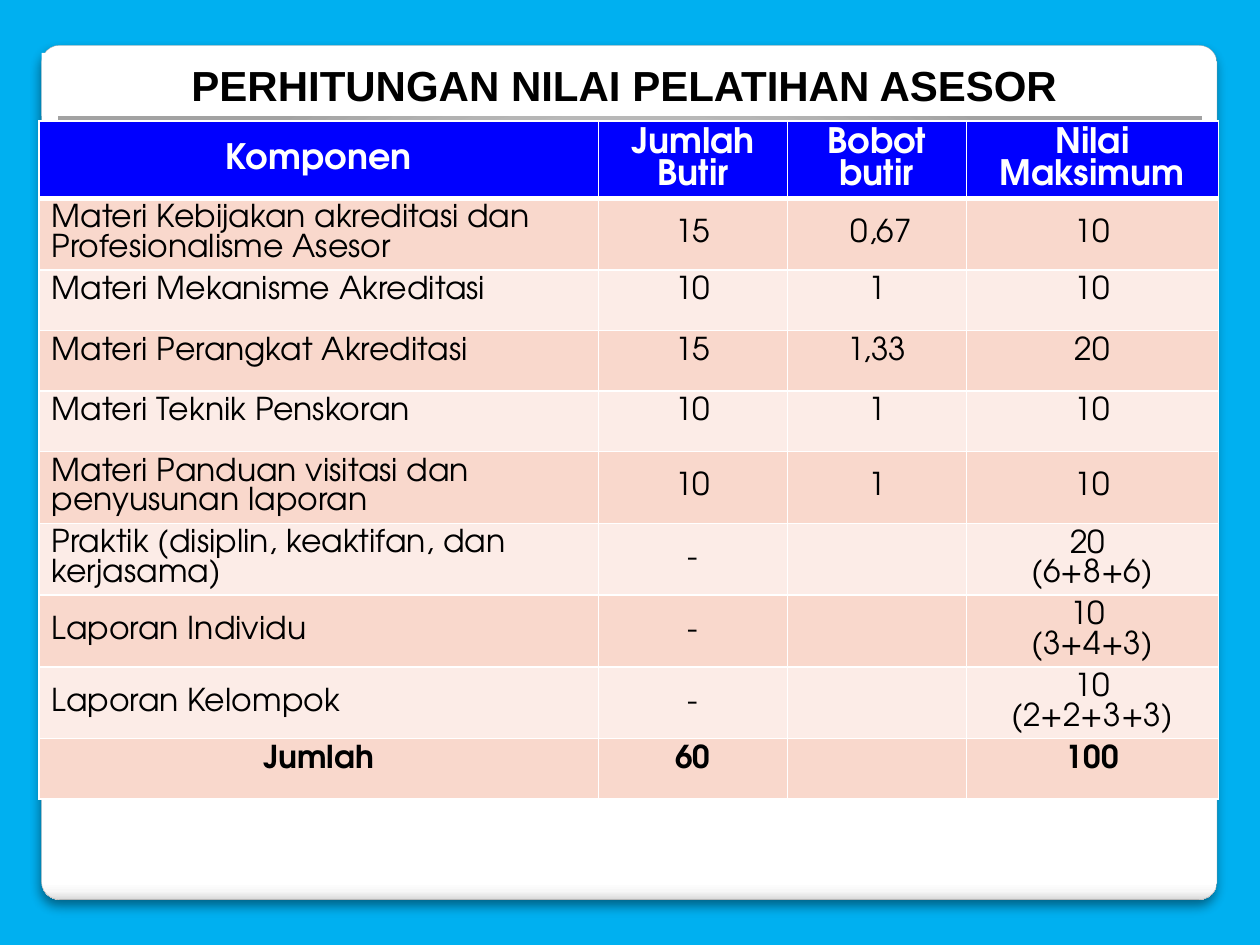
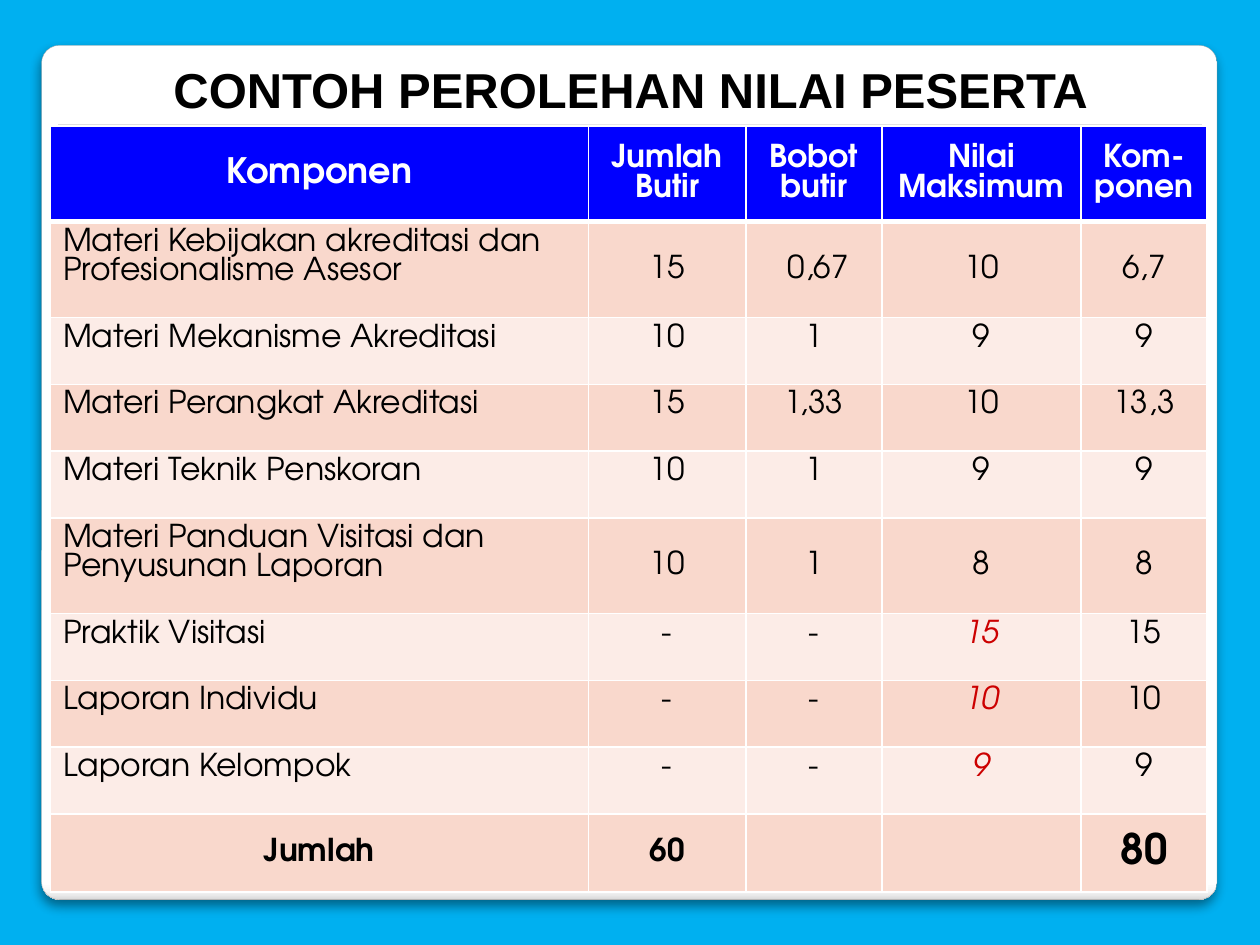
from dataclasses import dataclass

from pptx import Presentation
from pptx.dml.color import RGBColor
from pptx.enum.shapes import MSO_SHAPE
from pptx.enum.text import MSO_ANCHOR, MSO_AUTO_SIZE, PP_ALIGN
from pptx.oxml import parse_xml
from pptx.util import Inches, Pt

ROUNDED = MSO_SHAPE.ROUNDED_RECTANGLE
TOP, MIDDLE = MSO_ANCHOR.TOP, MSO_ANCHOR.MIDDLE
LEFT, CENTER = PP_ALIGN.LEFT, PP_ALIGN.CENTER
FIXED = MSO_AUTO_SIZE.NONE

SKY = RGBColor(0x00, 0xB0, 0xF0)
WHITE = RGBColor(0xFF, 0xFF, 0xFF)
BLACK = RGBColor(0x00, 0x00, 0x00)
RED = RGBColor(0xCC, 0x00, 0x00)
HEADER_BLUE = RGBColor(0x00, 0x00, 0xFF)
BANDS = (RGBColor(0xF9, 0xD8, 0xCC), RGBColor(0xFC, 0xEC, 0xE7))
SNOW = RGBColor(0xF7, 0xF7, 0xF7)
SILVER = RGBColor(0xDA, 0xDA, 0xDA)
PEARL = RGBColor(0xE1, 0xE1, 0xE1)
STEEL = RGBColor(0xA2, 0xA2, 0xA2)
EDGE = RGBColor(0xA4, 0xA4, 0xA4)

TITLE_FONT = "Arial"
TABLE_FONT = "TeX Gyre Adventor"
NS = 'xmlns:a="http://schemas.openxmlformats.org/drawingml/2006/main"'


@dataclass(frozen=True)
class Panel:
    box: tuple
    stops: tuple
    direction: str  # gradient direction as XML
    raised: bool    # outlined, with a shadow


@dataclass(frozen=True)
class Row:
    cells: tuple
    label_anchor: MSO_ANCHOR = TOP
    value_anchor: MSO_ANCHOR = TOP
    total: bool = False
    practice: bool = False  # score shown in red italics


@dataclass(frozen=True)
class ScoreSlide:
    title: str
    title_box: tuple
    title_size: int
    table_at: tuple
    widths: tuple
    heights: tuple
    header: tuple
    header_size: int
    rows: tuple
    total_size: int


PANELS = (
    Panel((0.33, 0.36, 9.33, 6.78),
          ((0, WHITE), (98, WHITE), (99, SNOW), (100, SILVER)),
          '<a:lin ang="5400000" scaled="0"/>', True),
    Panel((0.46, 0.47, 9.08, 4.75),
          ((0, WHITE), (55, PEARL), (100, STEEL)),
          '<a:path path="circle"><a:fillToRect l="50000" t="175000" '
          'r="50000" b="-75000"/></a:path>', False),
)

SLIDES = (
    ScoreSlide(
        "PERHITUNGAN NILAI PELATIHAN ASESOR", (0.33, 0.42, 9.25, 0.5), 24,
        (0.31, 0.96), (4.44, 1.5, 1.42, 2),
        (0.6, 0.57, 0.48, 0.48, 0.48, 0.57, 0.57, 0.57, 0.57, 0.48),
        ("Komponen", "Jumlah Butir", "Bobot butir", "Nilai Maksimum"), 20,
        (
            Row(("Materi Kebijakan akreditasi dan Profesionalisme Asesor",
                 "15", " 0,67", "10"), value_anchor=MIDDLE),
            Row(("Materi Mekanisme Akreditasi", "10", "1", "10")),
            Row(("Materi Perangkat Akreditasi", "15", "1,33", "20")),
            Row(("Materi Teknik Penskoran", "10", "1", "10")),
            Row(("Materi Panduan visitasi dan penyusunan laporan ",
                 "10", "1", "10"), value_anchor=MIDDLE),
            Row(("Praktik (disiplin, keaktifan, dan kerjasama)",
                 "-", "", "20 \n(6+8+6)"), value_anchor=MIDDLE),
            Row(("Laporan Individu", "-", "", "10 \n(3+4+3)"), MIDDLE, MIDDLE),
            Row(("Laporan Kelompok", "-", "", "10\n(2+2+3+3)"), MIDDLE, MIDDLE),
            Row(("Jumlah", "60", "", "100"), total=True),
        ), 18),
    ScoreSlide(
        "CONTOH PEROLEHAN NILAI PESERTA", (0.42, 0.42, 9.17, 0.57), 28,
        (0.4, 1), (4.27, 1.25, 1.08, 1.58, 1),
        (0.76, 0.76, 0.53, 0.53, 0.53, 0.76, 0.53, 0.53, 0.53, 0.62),
        ("Komponen", "Jumlah Butir", "Bobot butir", "Nilai Maksimum",
         "Kom-ponen"), 18,
        (
            Row(("Materi Kebijakan akreditasi dan Profesionalisme Asesor",
                 "15", " 0,67", "10", "6,7"), value_anchor=MIDDLE),
            Row(("Materi Mekanisme Akreditasi ", "10", "1", "9", "9")),
            Row(("Materi Perangkat Akreditasi ", "15", "1,33", "10", "13,3")),
            Row(("Materi Teknik Penskoran", "10", "1", "9", "9")),
            Row(("Materi Panduan Visitasi dan Penyusunan Laporan ",
                 "10", "1", "8", "8"), value_anchor=MIDDLE),
            Row(("Praktik Visitasi", "-", "-", "15", "15"), practice=True),
            Row(("Laporan Individu", "-", "-", "10", "10"), practice=True),
            Row(("Laporan Kelompok", "-", "-", "9", "9"), practice=True),
            Row(("Jumlah", "60", "", "", "80"), MIDDLE, MIDDLE, total=True),
        ), 24),
)


def write(frame, text: str, align: PP_ALIGN, color: RGBColor, **font_format) -> None:
    """Fill a text frame, one paragraph a line, in one format."""
    frame.text = text
    for paragraph in frame.paragraphs:
        paragraph.alignment = align
        for font in [paragraph.font] + [run.font for run in paragraph.runs]:
            for attribute, value in font_format.items():
                setattr(font, attribute, value)
            font.color.rgb = color


def draw_panel(slide, panel: Panel) -> None:
    shape = slide.shapes.add_shape(ROUNDED, *map(Inches, panel.box))
    shape.adjustments[0] = 0.021
    shape.shadow.inherit = False
    if panel.raised:
        shape.line.color.rgb = EDGE
        shape.line.width = Pt(0.16)
    else:
        shape.line.fill.background()
    stops = "".join(f'<a:gs pos="{pos * 1000}"><a:srgbClr val="{color}"/></a:gs>'
                    for pos, color in panel.stops)
    properties = shape._element.spPr
    properties.insert(2, parse_xml(
        f'<a:gradFill {NS} rotWithShape="1"><a:gsLst>{stops}</a:gsLst>'
        f'{panel.direction}</a:gradFill>'))
    if panel.raised:
        properties.effectLst.append(parse_xml(
            f'<a:outerShdw {NS} blurRad="{Pt(6)}" dist="{Pt(4)}" dir="5400000" '
            'algn="tl" rotWithShape="0"><a:srgbClr val="000000">'
            '<a:alpha val="44000"/></a:srgbClr></a:outerShdw>'))


def draw_title(slide, content: ScoreSlide) -> None:
    title = slide.shapes.title
    title.left, title.top, title.width, title.height = map(Inches, content.title_box)
    title.fill.solid()
    title.fill.fore_color.rgb = WHITE
    frame = title.text_frame
    write(frame, content.title, CENTER, BLACK, name=TITLE_FONT,
          size=Pt(content.title_size), bold=True)
    for attribute, value in {"word_wrap": True, "auto_size": FIXED,
                             "vertical_anchor": TOP}.items():
        setattr(frame, attribute, value)
    slide.shapes._spTree.append(title._element)  # bring to the front


def style_cell(cell, fill: RGBColor, anchor: MSO_ANCHOR, bottom_width: float) -> None:
    """White borders, solid fill and vertical anchor."""
    properties = cell._tc.get_or_add_tcPr()
    for side, width in {"L": 1, "R": 1, "T": 1, "B": bottom_width}.items():
        properties.append(parse_xml(
            f'<a:ln{side} {NS} w="{Pt(width)}"><a:solidFill>'
            f'<a:srgbClr val="{WHITE}"/></a:solidFill></a:ln{side}>'))
    cell.fill.solid()
    cell.fill.fore_color.rgb = fill
    cell.vertical_anchor = anchor


def draw_scores(slide, content: ScoreSlide) -> None:
    scores = slide.shapes.add_table(
        len(content.heights), len(content.widths), *map(Inches, content.table_at),
        Inches(sum(content.widths)), Inches(sum(content.heights))).table
    for column, width in zip(scores.columns, content.widths):
        column.width = Inches(width)
    for line, height in zip(scores.rows, content.heights):
        line.height = Inches(height)

    # Header
    for col, heading in enumerate(content.header):
        cell = scores.cell(0, col)
        style_cell(cell, HEADER_BLUE, MIDDLE, 3)
        write(cell.text_frame, heading, CENTER, WHITE, name=TABLE_FONT, bold=True,
              size=Pt(content.header_size if col else 20))

    # Components and total
    for index, row in enumerate(content.rows):
        last = len(row.cells) - 1
        for col, text in enumerate(row.cells):
            cell = scores.cell(index + 1, col)
            style_cell(cell, BANDS[index % 2],
                       row.value_anchor if col else row.label_anchor, 1)
            marked = row.practice and col == 3
            write(cell.text_frame, text,
                  CENTER if col or row.total else LEFT,
                  RED if marked else BLACK,
                  name=TABLE_FONT, bold=row.total, italic=marked,
                  size=Pt(content.total_size if row.total and col == last else 18))


def main() -> None:
    deck = Presentation()
    deck.slide_width, deck.slide_height = Inches(10), Inches(7.5)
    backdrop = deck.slide_master.background.fill
    backdrop.solid()
    backdrop.fore_color.rgb = SKY
    title_only = deck.slide_layouts[5]
    for content in SLIDES:
        slide = deck.slides.add_slide(title_only)
        for panel in PANELS:
            draw_panel(slide, panel)
        draw_scores(slide, content)
        draw_title(slide, content)
    deck.save("out.pptx")


main()
